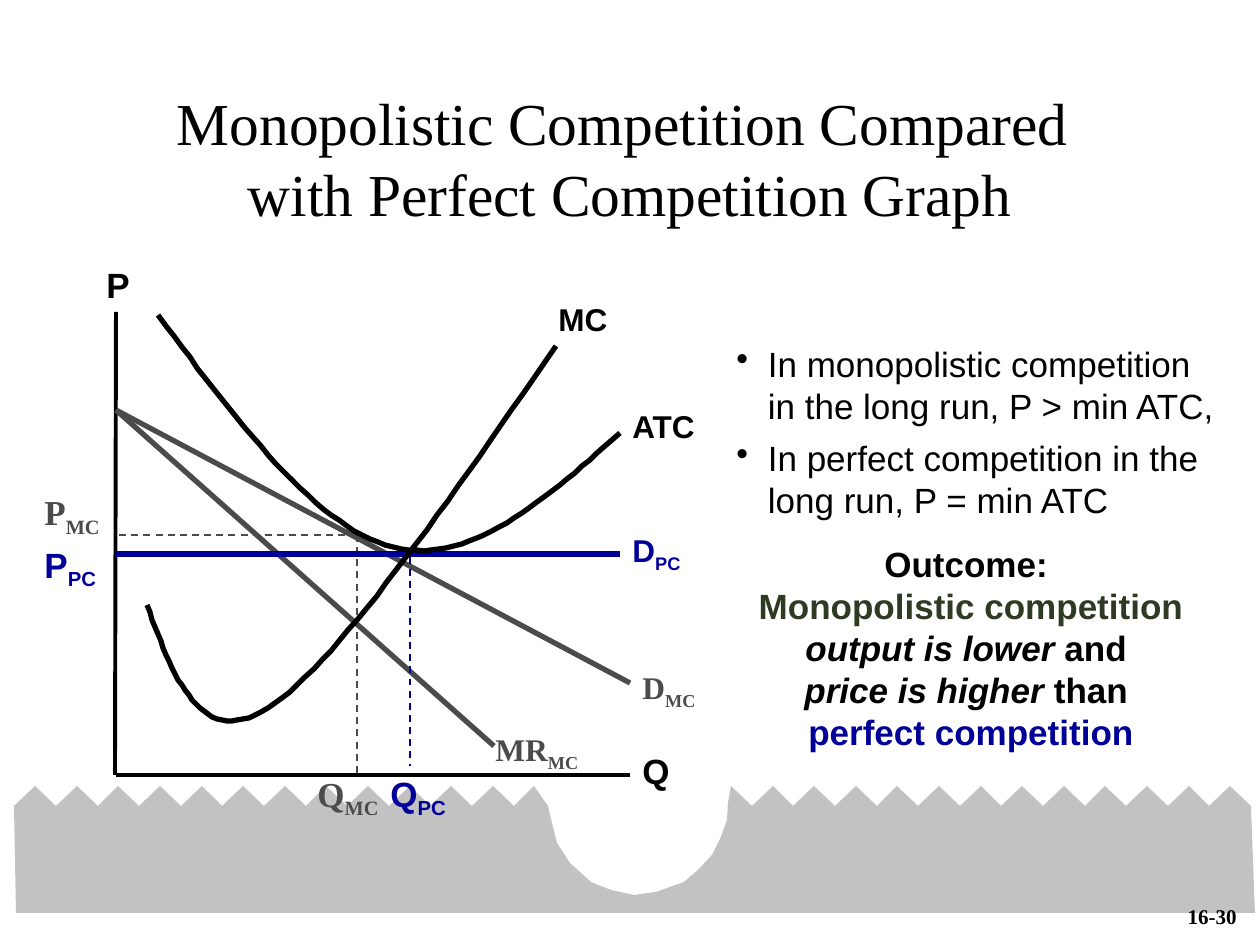
from lxml import etree
from pptx import Presentation
from pptx.dml.color import RGBColor
from pptx.enum.dml import MSO_LINE
from pptx.enum.shapes import MSO_CONNECTOR
from pptx.enum.text import MSO_ANCHOR, PP_ALIGN
from pptx.oxml.ns import qn
from pptx.util import Emu, Pt

PX = 914400 / 126
STRAIGHT = MSO_CONNECTOR.STRAIGHT
DASH = MSO_LINE.DASH
LEFT, CENTER, RIGHT = PP_ALIGN.LEFT, PP_ALIGN.CENTER, PP_ALIGN.RIGHT
TOP, MIDDLE, BOTTOM = MSO_ANCHOR.TOP, MSO_ANCHOR.MIDDLE, MSO_ANCHOR.BOTTOM
SANS, SERIF = "Arial", "Times New Roman"
COLORS = {"black": "000000", "gray": "4B4B4B", "blue": "000099",
          "green": "2E3B22", "band": "868686"}

TITLE = "Monopolistic Competition Compared \vwith Perfect Competition Graph"
BULLETS = [
    "In monopolistic competition in the long run, P > min ATC,",
    "In perfect competition in the long run, P = min ATC",
]
OUTCOME = [
    ["Outcome: "],
    [("Monopolistic competition ", {"color": "green"}),
     ("output is lower", {"italic": True}), " and "],
    [("price is higher ", {"italic": True}), "than "],
    [("perfect competition", {"color": "blue"})],
]
AXIS_X, AXIS_Y = 116, 775
LINES = [
    ((AXIS_X, 312), (115, AXIS_Y), "black", 2.25, False),
    ((AXIS_X, AXIS_Y), (630, AXIS_Y), "black", 2.25, False),
    ((AXIS_X, 410), (630, 683), "gray", 3, False),
    ((357, 535), (AXIS_X, 535), "gray", 1, True),
    ((AXIS_X, 410), (494, 746), "gray", 3, False),
    ((357, 535), (357, 777), "gray", 1, True),
    ((AXIS_X, 554), (620, 554), "blue", 3, False),
    ((410, 557), (410, 766), "blue", 1, True),
]
CURVES = [
    [(147, 605), (174, 678), (200, 751), (268, 708), (336, 665), (446, 505), (556, 346)],
    [(158, 315), (237, 421), (316, 528), (393, 547), (470, 567), (544, 500), (620, 433)],
]
LABELS = [
    ("Q", "", (630, 743, 73, 55), 20, SANS, "black", None),
    ("P", "", (94, 271, 94, 40), 20, SANS, "black", 16),
    ("ATC", "", (620, 401, 136, 50), 18, SANS, "black", None),
    ("MC", "", (546, 294, 105, 50), 18, SANS, "black", None),
    ("Q", "MC", (305, 766, 126, 60), 20, SERIF, "gray", None),
    ("D", "MC", (630, 662, 94, 55), 18, SERIF, "gray", None),
    ("MR", "MC", (483, 724, 126, 55), 18, SERIF, "gray", None),
    ("P", "MC", (32, 504, 116, 40), 20, SERIF, "gray", 16),
    ("P", "PC", (32, 537, 94, 60), 20, SANS, "blue", None),
    ("D", "PC", (620, 525, 94, 55), 18, SANS, "blue", None),
    ("Q", "PC", (378, 766, 126, 60), 20, SANS, "blue", None),
]
PEAK, VALLEY, HALF_TOOTH, TEETH_POINTS = 786, 806, 20.8, 26
BOWL = [(728, 803), (727, 820), (721, 837), (712, 855), (699, 869), (684, 882),
        (656, 892), (634, 895), (611, 890), (591, 882), (570, 863), (557, 843),
        (552, 823), (548, 806)]


def emu(px):
    return Emu(round(px * PX))


def rgb(name):
    return RGBColor.from_string(COLORS[name])


def add_text(page, paragraphs, area, size=20, font=SANS, color="black", bold=False,
             align=LEFT, anchor=TOP, line_pt=None, bullet=False):
    box = page.shapes.add_textbox(*map(emu, area))
    frame = box.text_frame
    frame.word_wrap = True
    frame.vertical_anchor = anchor
    for index, spans in enumerate(paragraphs):
        para = frame.add_paragraph() if index else frame.paragraphs[0]
        para.alignment = align
        if line_pt:
            para.line_spacing = Pt(line_pt)
        if bullet:
            if index:
                para.space_before = Pt(6)
            properties = para._p.get_or_add_pPr()
            properties.set("marL", "228600")
            properties.set("indent", "-228600")
            etree.SubElement(properties, qn("a:buChar")).set("char", "•")
        for item in spans:
            text, style = (item, {}) if isinstance(item, str) else item
            for number, piece in enumerate(text.split("\v")):
                if number:
                    para.add_line_break()
                span = para.add_run()
                span.text = piece
                span.font.size = Pt(size)
                span.font.name = font
                span.font.bold = bold
                span.font.italic = style.get("italic", False)
                span.font.color.rgb = rgb(style.get("color", color))
                if style.get("subscript"):
                    span._r.get_or_add_rPr().set("baseline", "-25000")
    return box


def add_outline(page, points, closed):
    builder = page.shapes.build_freeform(*points[0], scale=PX)
    builder.add_line_segments(points[1:], close=closed)
    shape = builder.convert_to_shape()
    shape.shadow.inherit = False
    return shape


def add_band(page):
    def teeth(right):
        return [(right - HALF_TOOTH * i, PEAK if i % 2 == first else VALLEY)
                for i in range(TEETH_POINTS)]
    first = 1
    right_teeth = teeth(1251)
    first = 0
    left_teeth = teeth(534.5)
    points = [(16, 913), (1255, 913)] + right_teeth + BOWL + left_teeth
    band = add_outline(page, points, True)
    band.fill.solid()
    band.fill.fore_color.rgb = rgb("band")
    band.line.fill.background()
    color = band._element.spPr.find(qn("a:solidFill"))[0]
    etree.SubElement(color, qn("a:alpha")).set("val", "50000")


def add_line(page, start, end, color, width, dashed):
    line = page.shapes.add_connector(STRAIGHT, *map(emu, start + end))
    line.line.color.rgb = rgb(color)
    line.line.width = Pt(width)
    if dashed:
        line.line.dash_style = DASH
    etree.SubElement(line._element.spPr, qn("a:effectLst"))


def bezier(a, b, c, d, steps=30):
    for step in range(1, steps + 1):
        t = step / steps
        u = 1 - t
        yield tuple(u**3 * p + 3 * u * u * t * q + 3 * u * t * t * r + t**3 * s
                    for p, q, r, s in zip(a, b, c, d))


def add_curve(page, controls):
    points = [controls[0]]
    for start in range(0, len(controls) - 1, 3):
        points.extend(bezier(*controls[start:start + 4]))
    curve = add_outline(page, points, False)
    curve.fill.background()
    curve.line.color.rgb = rgb("black")
    curve.line.width = Pt(3)


def main():
    deck = Presentation()
    deck.slide_width, deck.slide_height = emu(1260), emu(945)
    page = deck.slides.add_slide(deck.slide_layouts[6])
    add_band(page)
    add_text(page, [[TITLE]], (63, 94, 1134, 126), size=34, font=SERIF,
             align=CENTER, anchor=MIDDLE)
    add_text(page, OUTCOME, (735, 536, 472, 223), bold=True, align=CENTER)
    add_text(page, [[text] for text in BULLETS], (724, 336, 515, 233), bullet=True)
    for line in LINES:
        add_line(page, *line)
    for controls in CURVES:
        add_curve(page, controls)
    for text, subscript, area, size, font, color, line_pt in LABELS:
        spans = [text] + ([(subscript, {"subscript": True})] if subscript else [])
        add_text(page, [spans], area, size=size, font=font, color=color,
                 bold=True, line_pt=line_pt)
    add_text(page, [["16-30"]], (987, 872, 262, 63), size=12, font=SERIF,
             bold=True, align=RIGHT, anchor=BOTTOM)
    deck.save("out.pptx")


if __name__ == "__main__":
    main()
